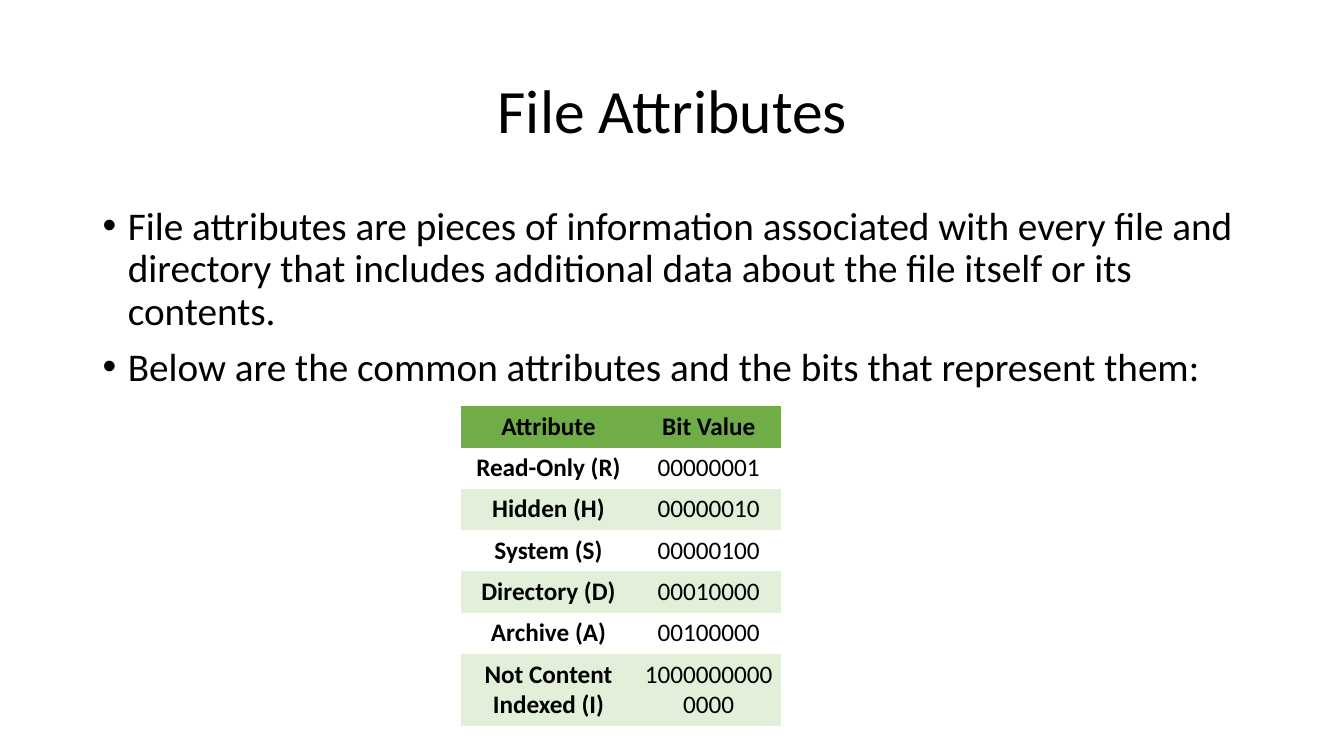
from dataclasses import dataclass

from lxml import etree
from pptx import Presentation
from pptx.dml.color import RGBColor
from pptx.enum.text import MSO_ANCHOR, PP_ALIGN
from pptx.oxml.ns import qn
from pptx.util import Inches, Pt

TITLE = "File Attributes"
BULLETS = [
    "File attributes are pieces of information associated with every file and "
    "directory that includes additional data about the file itself or its contents.",
    "Below are the common attributes and the bits that represent them:",
]
ATTRIBUTES = [
    ("Attribute", "Bit Value"),
    ("Read-Only (R)", "00000001"),
    ("Hidden (H)", "00000010"),
    ("System (S)", "00000100"),
    ("Directory (D)", "00010000"),
    ("Archive (A)", "00100000"),
    ("Not Content Indexed (I)", "10000000000000"),
]
COL_WIDTHS = (1.74, 1.44)
ROW_HEIGHTS = [0.41] * 6 + [0.71]


@dataclass(frozen=True)
class Theme:
    font: str = "Calibri"
    text: str = "000000"
    header: str = "70AD47"
    band: str = "E2EFD9"
    plain: str = "FFFFFF"
    title_size: int = 44
    body_size: int = 28
    table_size: int = 18


THEME = Theme()


def style(p, size, bold=False, align=None):
    p.font.name = THEME.font
    p.font.size = Pt(size)
    p.font.bold = bold
    p.font.color.rgb = RGBColor.from_string(THEME.text)
    p.alignment = align


def add_text(s, box, lines, size, align, anchor):
    tf = s.shapes.add_textbox(*map(Inches, box)).text_frame
    tf.word_wrap = True
    tf.vertical_anchor = anchor
    tf.text = "\n".join(lines)
    for p in tf.paragraphs:
        style(p, size, align=align)
        p.line_spacing = 0.9
    return tf


def add_bullet(p):
    p.space_before = Pt(10)
    pPr = p._p.get_or_add_pPr()
    pPr.set("marL", str(Inches(0.25)))
    pPr.set("indent", str(-Inches(0.25)))
    font = etree.Element(qn("a:buFont"), typeface="Arial")
    char = etree.Element(qn("a:buChar"), char="•")
    pPr.find(qn("a:defRPr")).addprevious(font)
    font.addnext(char)


def row_fill(row):
    if row == 0:
        return THEME.header
    return THEME.plain if row % 2 else THEME.band


def add_attribute_table(s):
    size = sum(COL_WIDTHS), sum(ROW_HEIGHTS)
    table = s.shapes.add_table(
        len(ATTRIBUTES), len(COL_WIDTHS), *map(Inches, (4.57, 4.03, *size))
    ).table
    for col, width in zip(table.columns, COL_WIDTHS):
        col.width = Inches(width)
    for row, height in zip(table.rows, ROW_HEIGHTS):
        row.height = Inches(height)
    table.horz_banding = False
    table.first_row = False
    table._tbl.tblPr.find(qn("a:tableStyleId")).text = (
        "{2D5ABB26-0587-4C30-8999-92F81FD0307C}"
    )
    for i, values in enumerate(ATTRIBUTES):
        for j, value in enumerate(values):
            cell = table.cell(i, j)
            cell.text = value
            cell.margin_left = cell.margin_right = Inches(0.05)
            cell.margin_top = cell.margin_bottom = Inches(0.05)
            cell.fill.solid()
            cell.fill.fore_color.rgb = RGBColor.from_string(row_fill(i))
            bold = i == 0 or j == 0
            style(cell.text_frame.paragraphs[0], THEME.table_size, bold, PP_ALIGN.CENTER)


def main():
    prs = Presentation()
    prs.slide_width, prs.slide_height = Inches(13.33), Inches(7.5)
    s = prs.slides.add_slide(prs.slide_layouts[6])
    add_text(s, (0.92, 0.4, 11.5, 1.45), [TITLE], THEME.title_size,
             PP_ALIGN.CENTER, MSO_ANCHOR.MIDDLE)
    body = add_text(s, (0.92, 2, 11.5, 4.76), BULLETS, THEME.body_size,
                    PP_ALIGN.LEFT, MSO_ANCHOR.TOP)
    for p in body.paragraphs:
        add_bullet(p)
    add_attribute_table(s)
    prs.save("out.pptx")


if __name__ == "__main__":
    main()
